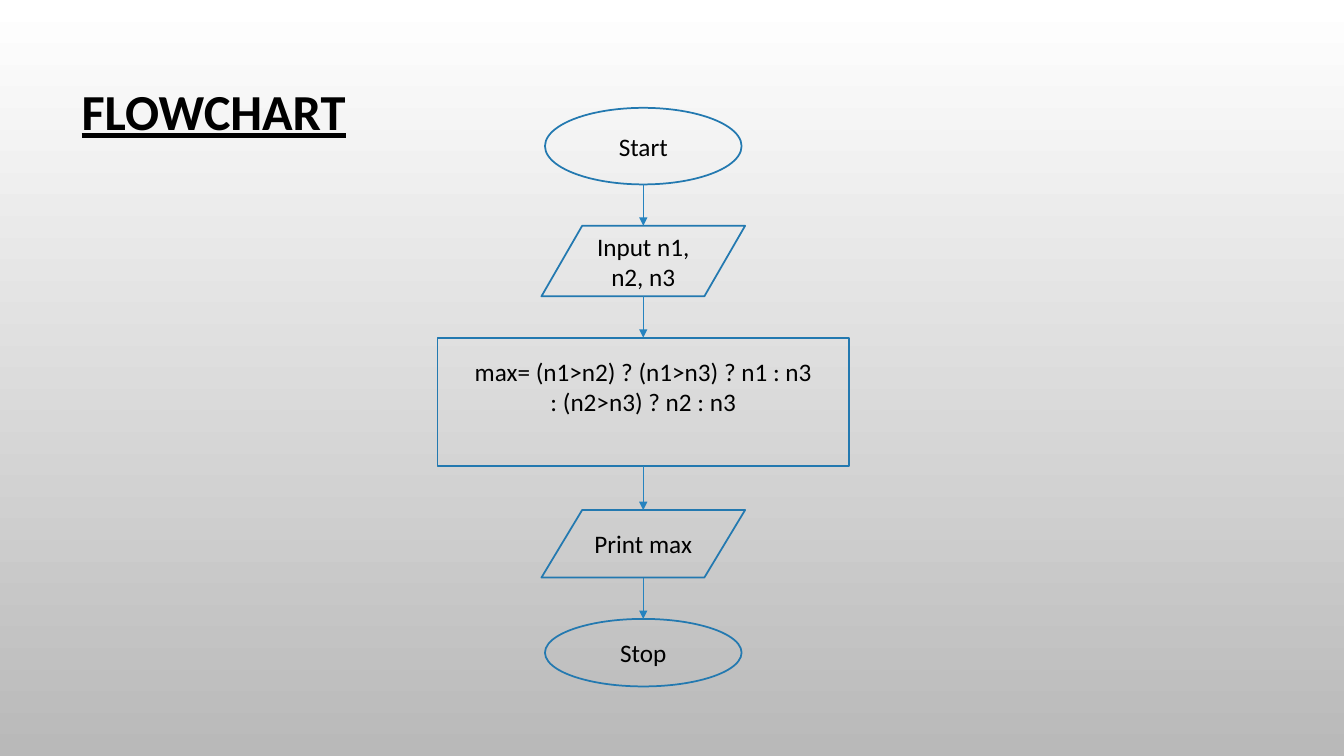
from itertools import pairwise

from lxml.etree import SubElement
from pptx import Presentation
from pptx.dml.color import RGBColor
from pptx.enum.shapes import MSO_CONNECTOR, MSO_SHAPE
from pptx.enum.text import MSO_ANCHOR, PP_ALIGN
from pptx.oxml.ns import qn
from pptx.util import Inches, Pt

COLORS = {
    "text": "000000",
    "outline": "2379B0",
    "arrow": "2683BF",
    "background_top": "FFFFFF",
    "background_bottom": "B9B9B9",
}
CENTER = 6.38
STEPS = [
    (MSO_SHAPE.OVAL, 1.07, 1.95, 0.76, ["Start"]),
    (MSO_SHAPE.FLOWCHART_DATA, 2.24, 2.02, 0.7, ["Input n1, n2, n3"]),
    (MSO_SHAPE.FLOWCHART_PROCESS, 3.35, 4.08, 1.27,
     ["max= (n1>n2) ? (n1>n3) ? n1 : n3", ": (n2>n3) ? n2 : n3"]),
    (MSO_SHAPE.FLOWCHART_DATA, 5.06, 2.02, 0.67, ["Print max"]),
    (MSO_SHAPE.OVAL, 6.14, 1.95, 0.67, ["Stop"]),
]


def color(name):
    """Return the named colour."""
    return RGBColor.from_string(COLORS[name])


def write_text(shape, lines, size=18, align=PP_ALIGN.CENTER, bold=False,
               underline=False, line_spacing=1.0):
    """Fill a shape with formatted paragraphs, centred vertically."""
    frame = shape.text_frame
    frame.word_wrap = True
    frame.vertical_anchor = MSO_ANCHOR.MIDDLE
    frame.text = "\n".join(lines)
    for paragraph in frame.paragraphs:
        paragraph.alignment = align
        paragraph.line_spacing = line_spacing
        for run in paragraph.runs:
            run.font.name = "Calibri"
            run.font.size = Pt(size)
            run.font.bold = bold
            run.font.underline = underline
            run.font.color.rgb = color("text")


def set_background(slide):
    """Apply the vertical gradient background."""
    fill = slide.background.fill
    fill.gradient()
    fill.gradient_angle = 270
    names = ("background_top", "background_bottom")
    for position, (stop, name) in enumerate(zip(fill.gradient_stops, names)):
        stop.position = position
        stop.color.rgb = color(name)


def add_title(slide, text):
    """Place and format the slide title."""
    title = slide.shapes.title
    title.left, title.top = Inches(0.71), Inches(0.26)
    title.width, title.height = Inches(11.33), Inches(1.75)
    write_text(title, [text], size=36, align=PP_ALIGN.LEFT, bold=True,
               underline=True, line_spacing=0.9)


def add_step(slide, kind, top, width, height, lines):
    """Add one outlined flowchart step on the centre line."""
    shape = slide.shapes.add_shape(
        kind, Inches(CENTER - width / 2), Inches(top), Inches(width), Inches(height))
    shape.shadow.inherit = False
    shape.fill.background()
    shape.line.color.rgb = color("outline")
    shape.line.width = Pt(1.25)
    write_text(shape, lines)
    if kind == MSO_SHAPE.FLOWCHART_PROCESS:
        shape.text_frame.margin_bottom = Inches(0.35)
    return shape


def add_arrow(slide, upper, lower):
    """Add an arrow from the bottom of one step to the top of the next."""
    arrow = slide.shapes.add_connector(
        MSO_CONNECTOR.STRAIGHT, Inches(CENTER), upper.top + upper.height,
        Inches(CENTER), lower.top)
    if upper.auto_shape_type == MSO_SHAPE.FLOWCHART_PROCESS:
        arrow.begin_connect(upper, 2)
    if lower.auto_shape_type == MSO_SHAPE.FLOWCHART_PROCESS:
        arrow.end_connect(lower, 0)
    arrow.line.color.rgb = color("arrow")
    arrow.line.width = Pt(0.75)
    properties = arrow._element.spPr
    SubElement(properties.find(qn("a:ln")), qn("a:tailEnd"), type="triangle")
    SubElement(properties, qn("a:effectLst"))


def main():
    """Build the flowchart slide and save it."""
    presentation = Presentation()
    presentation.slide_width = Inches(13.33)
    presentation.slide_height = Inches(7.5)
    slide = presentation.slides.add_slide(presentation.slide_layouts[5])
    set_background(slide)
    add_title(slide, "FLOWCHART")
    steps = [add_step(slide, *step) for step in STEPS]
    for upper, lower in pairwise(steps):
        add_arrow(slide, upper, lower)
    presentation.save("out.pptx")


if __name__ == "__main__":
    main()
